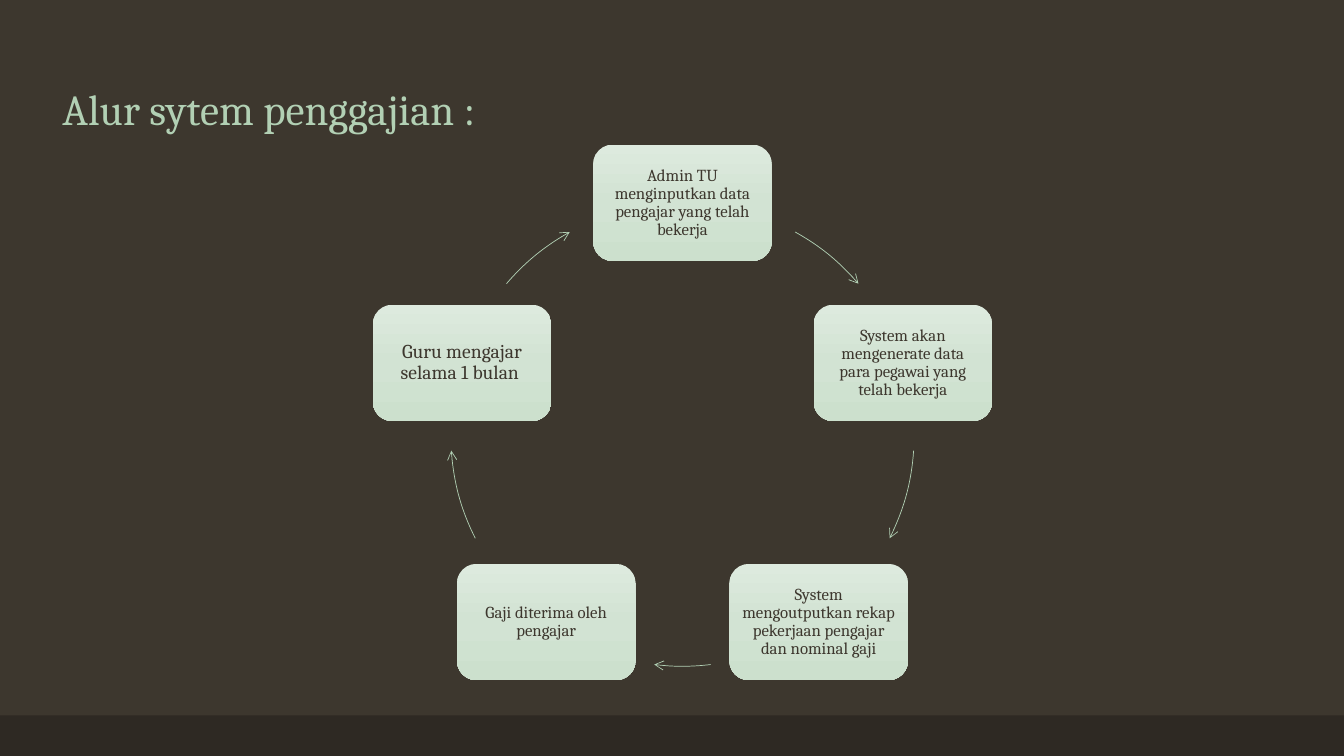
from copy import deepcopy
from dataclasses import dataclass
from math import cos, radians, sin

from lxml import etree
from pptx import Presentation
from pptx import util as u
from pptx.dml import color
from pptx.enum import shapes, text
from pptx.oxml import ns

TITLE = "Alur sytem penggajian :"
STEPS = [
    "Admin TU menginputkan data pengajar yang telah bekerja",
    "System akan mengenerate data para pegawai yang telah bekerja",
    "System mengoutputkan rekap pekerjaan pengajar dan nominal gaji",
    "Gaji diterima oleh pengajar",
    "Guru mengajar selama 1 bulan ",
]
ARROW_ANGLES = [(29.1, 49.4), (94, 116.6), (173, 187), (243.4, 266), (310.6, 330.9)]


@dataclass(frozen=True)
class Theme:
    font: str = "Cambria"
    ground: str = "3D372E"
    footer: str = "2E2923"
    accent: str = "B2D0B4"
    gradient: tuple = ("DDEADE", "D2E3D3", "CCE0CD")
    title_size: float = 30.6
    step_sizes: tuple = (12, 12, 12, 12, 14)


THEME = Theme()
WIDTH, HEIGHT = 33.87, 19.05
FOOTER_HEIGHT = 1.02
CENTER_X, CENTER_Y, RADIUS = 17.2, 10.95, 5.84
BOX_WIDTH, BOX_HEIGHT = 4.5, 2.93
INSET = 0.13


def rgb(value):
    return color.RGBColor.from_string(value)


def style_text(para, size, shade):
    para.line_spacing = 0.9
    para.font.name = THEME.font
    para.font.size = u.Pt(size)
    para.font.color.rgb = rgb(shade)


def add_plain(page, kind, left, top, width, height):
    shape = page.shapes.add_shape(kind, u.Cm(left), u.Cm(top), u.Cm(width), u.Cm(height))
    shape.shadow.inherit = False
    shape.line.fill.background()
    return shape


def fill_gradient(shape):
    shape.fill.gradient()
    shape.fill.gradient_angle = 270
    stop_list = shape.fill._fill._gradFill.gsLst
    stop_list.insert(1, deepcopy(stop_list[0]))
    for index, shade in enumerate(THEME.gradient):
        stop = shape.fill.gradient_stops[index]
        stop.position = index / 2
        stop.color.rgb = rgb(shade)


def add_step(page, label, angle, size):
    left = CENTER_X + RADIUS * sin(radians(angle)) - BOX_WIDTH / 2
    top = CENTER_Y - RADIUS * cos(radians(angle)) - BOX_HEIGHT / 2
    box = add_plain(page, shapes.MSO_SHAPE.ROUNDED_RECTANGLE, left, top, BOX_WIDTH, BOX_HEIGHT)
    fill_gradient(box)
    frame = box.text_frame
    frame.word_wrap = True
    frame.vertical_anchor = text.MSO_ANCHOR.MIDDLE
    frame.margin_left = frame.margin_right = u.Cm(INSET)
    frame.margin_top = frame.margin_bottom = u.Cm(INSET)
    para = frame.paragraphs[0]
    para.text = label
    para.alignment = text.PP_ALIGN.CENTER
    style_text(para, size, THEME.ground)


def add_arrow(page, start, end):
    arrow = add_plain(page, shapes.MSO_SHAPE.ARC, CENTER_X - RADIUS, CENTER_Y - RADIUS,
                      2 * RADIUS, 2 * RADIUS)
    for index, angle in enumerate((start, end)):
        arrow.adjustments[index] = (angle - 90) % 360 * 0.6
    arrow.fill.background()
    arrow.line.color.rgb = rgb(THEME.accent)
    arrow.line.width = u.Pt(0.5)
    etree.SubElement(arrow.line._get_or_add_ln(), ns.qn("a:tailEnd"), type="arrow")


def add_title(page):
    title = page.shapes.title
    title.left, title.top, title.width, title.height = map(u.Cm, (1.32, 1.32, 13.2, 2.21))
    frame = title.text_frame
    frame.text = TITLE
    frame.word_wrap = True
    frame.auto_size = text.MSO_AUTO_SIZE.NONE
    frame.vertical_anchor = text.MSO_ANCHOR.BOTTOM
    para = frame.paragraphs[0]
    para.alignment = text.PP_ALIGN.LEFT
    style_text(para, THEME.title_size, THEME.accent)


def main():
    deck = Presentation()
    deck.slide_width, deck.slide_height = u.Cm(WIDTH), u.Cm(HEIGHT)
    page = deck.slides.add_slide(deck.slide_layouts.get_by_name("Title Only"))
    page.background.fill.solid()
    page.background.fill.fore_color.rgb = rgb(THEME.ground)
    footer = add_plain(page, shapes.MSO_SHAPE.RECTANGLE, 0, HEIGHT - FOOTER_HEIGHT,
                       WIDTH, FOOTER_HEIGHT)
    footer.fill.solid()
    footer.fill.fore_color.rgb = rgb(THEME.footer)
    add_title(page)
    for index, label in enumerate(STEPS):
        add_step(page, label, index * 360 / len(STEPS), THEME.step_sizes[index])
        add_arrow(page, *ARROW_ANGLES[index])
    deck.save("out.pptx")


if __name__ == "__main__":
    main()
